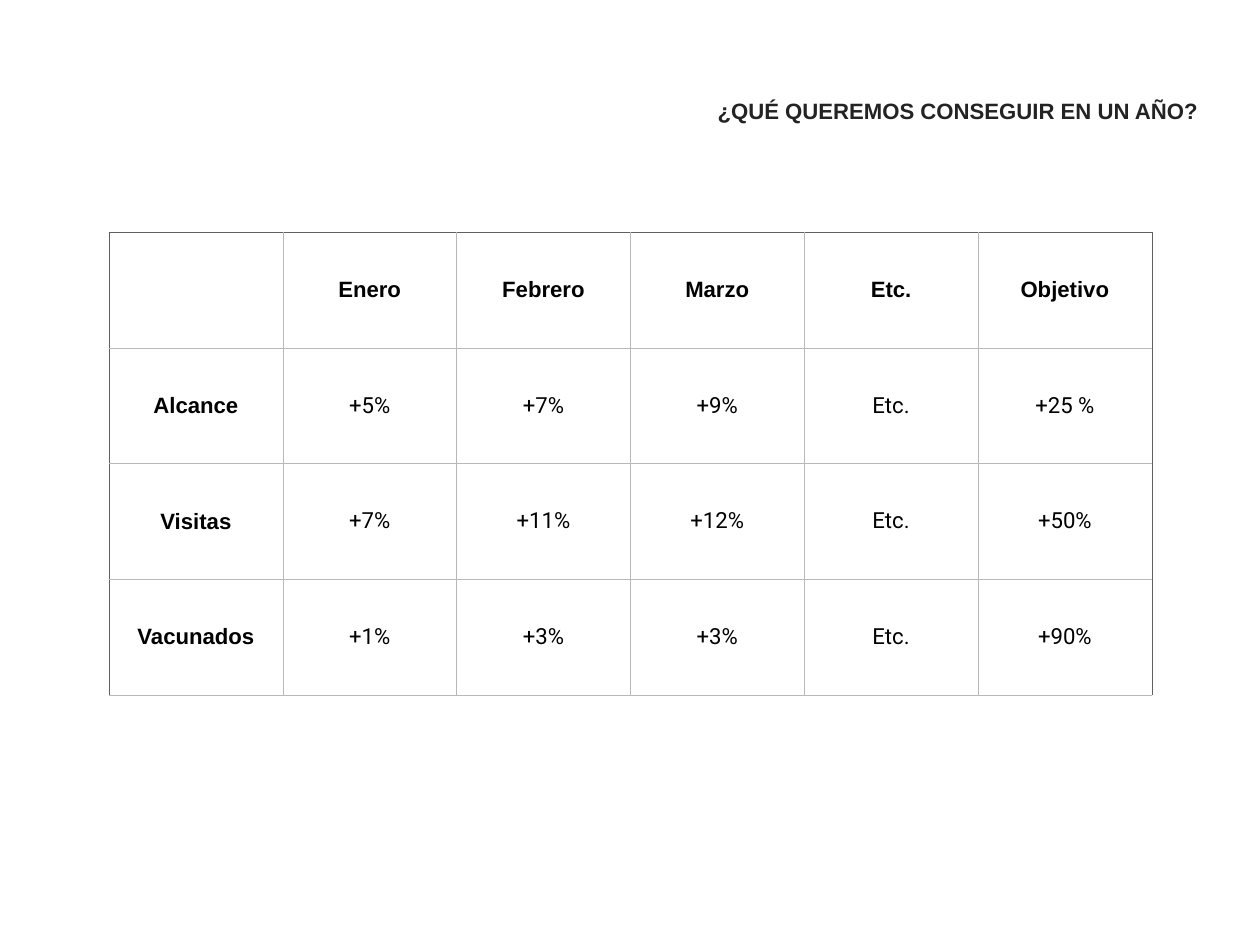
from lxml import etree
from pptx import Presentation
from pptx.dml.color import RGBColor
from pptx.enum.text import MSO_ANCHOR, MSO_AUTO_SIZE, PP_ALIGN
from pptx.oxml.ns import qn
from pptx.util import Inches, Pt

MIDDLE = MSO_ANCHOR.MIDDLE
CENTER, RIGHT = PP_ALIGN.CENTER, PP_ALIGN.RIGHT
OUTER, INNER = "606060", "B8B8B8"

ROWS = [
    ["", "Enero", "Febrero", "Marzo", "Etc.", "Objetivo"],
    ["Alcance", "+5%", "+7%", "+9%", "Etc.", "+25 %"],
    ["Visitas", "+7%", "+11%", "+12%", "Etc.", "+50%"],
    ["Vacunados", "+1%", "+3%", "+3%", "Etc.", "+90%"],
]


def add_text(p, text, align, font, color, bold):
    p.alignment = align
    r = p.add_run()
    r.text = text
    r.font.name = font
    r.font.size = Pt(18)
    r.font.bold = bold
    r.font.color.rgb = RGBColor.from_string(color)


def add_border(cell, side, color):
    ln = etree.SubElement(cell._tc.get_or_add_tcPr(), qn("a:ln" + side), w=str(Pt(0.45)))
    fill = etree.SubElement(ln, qn("a:solidFill"))
    etree.SubElement(fill, qn("a:srgbClr"), val=color)


prs = Presentation()
prs.slide_width, prs.slide_height = Inches(14.22), Inches(10.66)
s = prs.slides.add_slide(prs.slide_layouts[5])

# Title
title = s.shapes.title
title.left, title.top = Inches(6.68), Inches(1.04)
title.width, title.height = Inches(6.9), Inches(0.41)
tf = title.text_frame
tf.word_wrap = True
tf.auto_size = MSO_AUTO_SIZE.NONE
tf.vertical_anchor = MIDDLE
tf.margin_left = tf.margin_right = tf.margin_top = tf.margin_bottom = Inches(0.06)
add_text(tf.paragraphs[0], "¿QUÉ QUEREMOS CONSEGUIR EN UN AÑO?", RIGHT, "Arial", "232323", True)

# Table of monthly goals
last_col = len(ROWS[0]) - 1
table = s.shapes.add_table(len(ROWS), len(ROWS[0]), Inches(1.23), Inches(2.62),
                           Inches(11.77), Inches(5.22)).table
table.horz_banding = False
for i, row in enumerate(ROWS):
    for j, text in enumerate(row):
        cell = table.cell(i, j)
        cell.vertical_anchor = MIDDLE
        cell.margin_left = cell.margin_right = Inches(0.06)
        cell.margin_top = cell.margin_bottom = Inches(0.05)

        # Darker lines on the left, right and top edges of the table
        add_border(cell, "L", OUTER if j == 0 else INNER)
        add_border(cell, "R", OUTER if j == last_col else INNER)
        add_border(cell, "T", OUTER if i == 0 else INNER)
        add_border(cell, "B", INNER)
        cell.fill.solid()
        cell.fill.fore_color.rgb = RGBColor.from_string("FFFFFF")

        if text:
            header = i == 0 or j == 0
            add_text(cell.text_frame.paragraphs[0], text, CENTER,
                     "Arial" if header else "Roboto", "000000", header)

prs.save("out.pptx")
